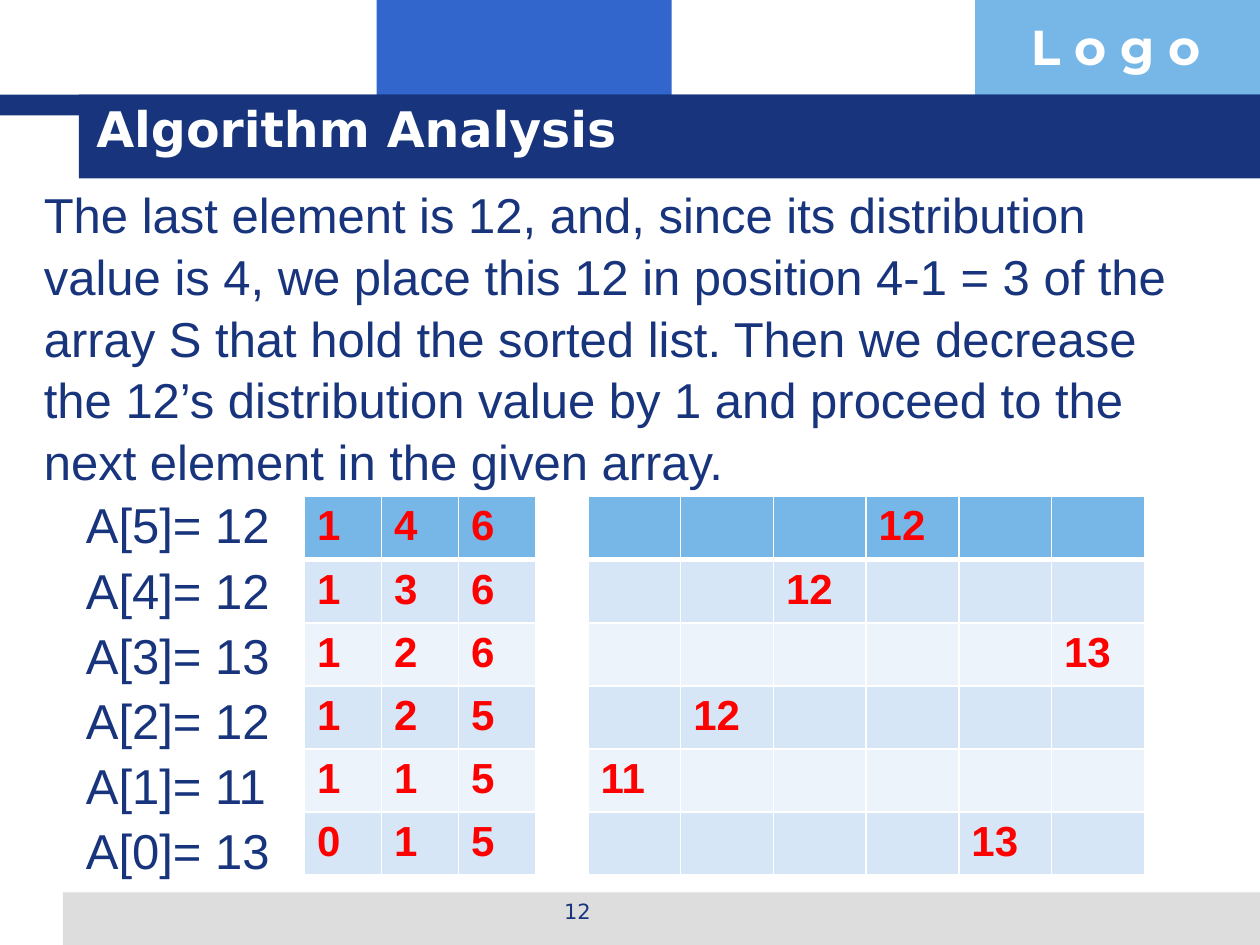
from pptx import Presentation
from pptx.dml.color import RGBColor as RGB
from pptx.enum.shapes import MSO_SHAPE as SHAPE
from pptx.enum.text import MSO_ANCHOR as ANCHOR, PP_ALIGN as ALIGN
from pptx.oxml.ns import qn
from pptx.util import Inches, Pt
from lxml.etree import SubElement

COLORS = {
    "navy": "17347D", "blue": "3366CC", "sky": "77B7E7", "gray": "DDDDDD",
    "white": "FFFFFF", "red": "FF0000", "band": "D6E6F6", "pale": "ECF3FA",
}
COLS, ROWS = 120, 90
SLIDE_W, SLIDE_H = Inches(10), Inches(7.5)

BODY = ("The last element is 12, and, since its distribution value is 4, "
        "we place this 12 in position 4-1 = 3 of the array S that hold the "
        "sorted list. Then we decrease the 12’s distribution value by 1 and "
        "proceed to the next element in the given array.")
ELEMENTS = [12, 12, 13, 12, 11, 13]
DISTRIBUTION = ["146", "136", "126", "125", "115", "015"]
POSITIONS = [3, 2, 5, 1, 0, 4]


def place(box):
    """Turn a box in grid columns and rows into slide lengths."""
    x, y, w, h = box
    col, row = SLIDE_W / COLS, SLIDE_H / ROWS
    return int(x * col), int(y * row), int(w * col), int(h * row)


def color(name):
    """Look up a named colour."""
    return RGB.from_string(COLORS[name])


def set_font(p, size, name, fill, bold=False):
    """Set the font of a whole paragraph."""
    p.font.size, p.font.name, p.font.bold = Pt(size), name, bold
    p.font.color.rgb = color(fill)


def add_block(slide, box, fill):
    """Add a plain filled rectangle."""
    sp = slide.shapes.add_shape(SHAPE.RECTANGLE, *place(box))
    sp.shadow.inherit = False
    sp.fill.solid()
    sp.fill.fore_color.rgb = color(fill)
    sp.line.fill.background()


def add_text(slide, box, lines, size=28, name="Arial", fill="navy", bold=False,
             align=ALIGN.LEFT, anchor=ANCHOR.TOP, spacing=1.0, gap=0):
    """Add a text box with one paragraph for each line."""
    tf = slide.shapes.add_textbox(*place(box)).text_frame
    tf.word_wrap, tf.vertical_anchor = True, anchor
    for i, line in enumerate(lines):
        p = tf.add_paragraph() if i else tf.paragraphs[0]
        p.text, p.alignment, p.line_spacing = line, align, spacing
        p.space_before = Pt(gap if i else 0)
        set_font(p, size, name, fill, bold)


def set_borders(cell, top, bottom):
    """Draw white cell borders with the given top and bottom widths."""
    tc_pr = cell._tc.get_or_add_tcPr()
    for side, width in zip("LRTB", (1, 1, top, bottom)):
        ln = SubElement(tc_pr, qn(f"a:ln{side}"), w=str(Pt(width)))
        SubElement(SubElement(ln, qn("a:solidFill")), qn("a:srgbClr"),
                   val=COLORS["white"])


def add_grid(slide, box, rows):
    """Add a banded table whose equal cells fill the box."""
    x, y, w, h = place(box)
    table = slide.shapes.add_table(len(rows), len(rows[0]), x, y, w, h).table
    for col in table.columns:
        col.width = w // len(rows[0])
    for r, values in enumerate(rows):
        table.rows[r].height = h // len(rows)
        for c, value in enumerate(values):
            cell = table.cell(r, c)
            set_borders(cell, 3 if r == 1 else 1, 3 if r == 0 else 1)
            cell.fill.solid()
            shade = "sky" if r == 0 else "band" if r % 2 else "pale"
            cell.fill.fore_color.rgb = color(shade)
            cell.text = value
            set_font(cell.text_frame.paragraphs[0], 24, "Arial", "red", True)


def add_header(slide, box, title):
    """Add the colour blocks, the logo word and the title bar."""
    x, y, w, h = box
    add_block(slide, (x + 0.299 * w, y, 0.234 * w, 11), "blue")
    add_block(slide, (x + 0.774 * w, y, 0.226 * w, 11), "sky")
    add_block(slide, (x, y + 9, w, 2), "navy")
    add_block(slide, (x + 7.5, y + 9, w - 7.5, h - 9), "navy")
    add_text(slide, (x + 97, y + 1, 23, 7), ["L o g o"], name="Montserrat",
             fill="white", bold=True)
    add_text(slide, (x + 8, y + 7.7, w - 8, 9), [title], name="DejaVu Sans",
             fill="white", bold=True, anchor=ANCHOR.MIDDLE)


def add_footer(slide, box, number):
    """Add the footer bar with the slide number."""
    x, y, w, h = box
    add_block(slide, box, "gray")
    add_text(slide, (x + 35, y, 28, h), [number], size=12, name="DejaVu Sans",
             align=ALIGN.CENTER)


def add_trace(slide, box):
    """Add the element list, its distribution values and the sorted array."""
    x, y, w, h = box
    last = len(ELEMENTS) - 1
    labels = [f"A[{last - i}]= {v}" for i, v in enumerate(ELEMENTS)]
    placed = [[str(v) if c == pos else "" for c in range(len(ELEMENTS))]
              for v, pos in zip(ELEMENTS, POSITIONS)]
    add_text(slide, (x, y, 22, h), labels, spacing=0.94, gap=5.6)
    add_grid(slide, (x + 22, y + 0.3, 22, 36), DISTRIBUTION)
    add_grid(slide, (x + 49, y + 0.3, w - 49, 36), placed)


def main():
    """Build the slide and save it."""
    prs = Presentation()
    prs.slide_width, prs.slide_height = SLIDE_W, SLIDE_H
    slide = prs.slides.add_slide(prs.slide_layouts[6])
    add_header(slide, (0, 0, COLS, 17), "Algorithm Analysis")
    add_footer(slide, (6, 85, COLS - 6, 5), "12")
    add_text(slide, (3, 16.7, 112, 29.4), [BODY], spacing=1.05)
    add_trace(slide, (7, 47, 102, 37))
    prs.save("out.pptx")


if __name__ == "__main__":
    main()
